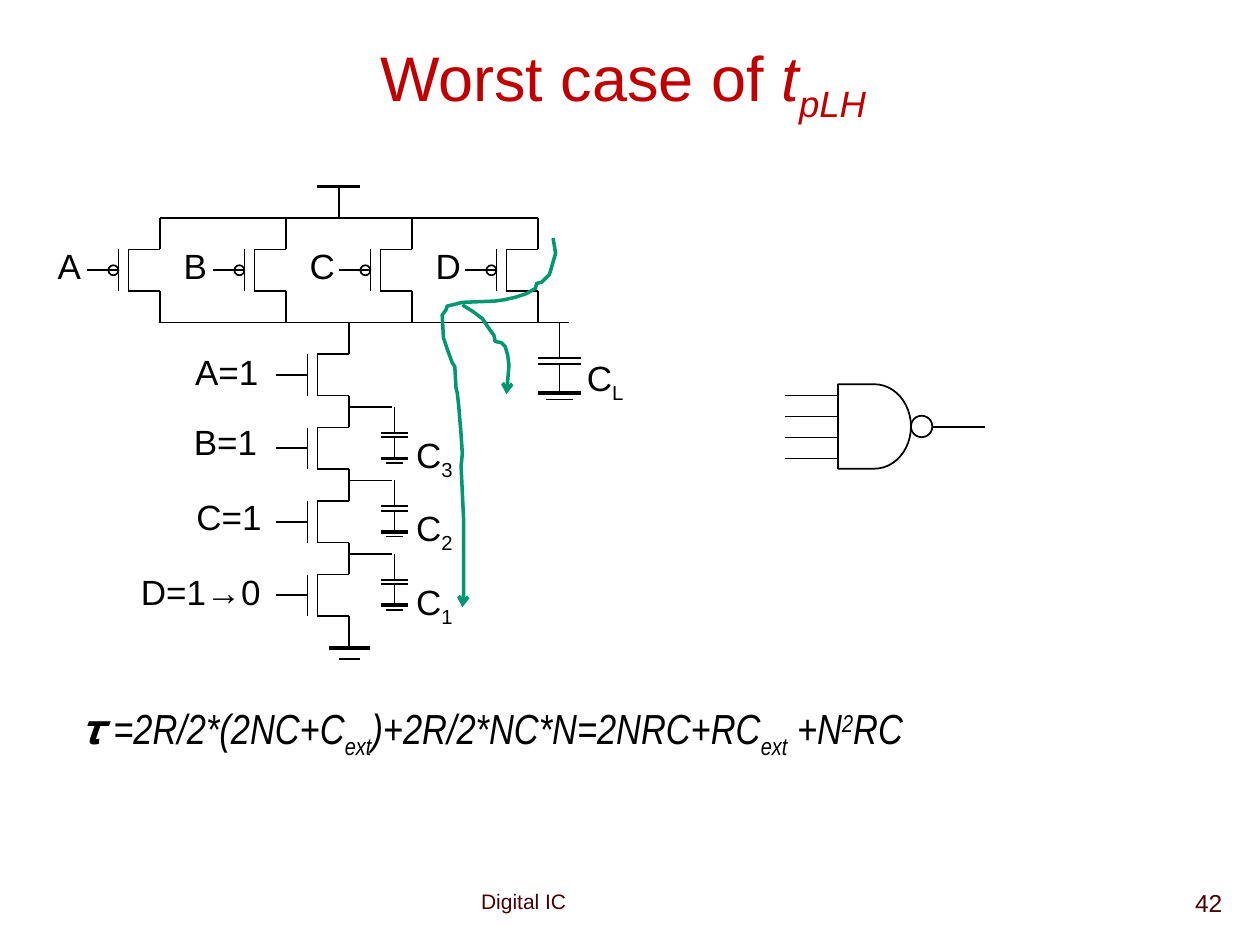
"""Build the slide on the worst case rise delay of a four-input NAND gate."""
from dataclasses import dataclass

from lxml import etree
from pptx import Presentation
from pptx.dml.color import RGBColor
from pptx.enum.shapes import MSO_CONNECTOR, MSO_SHAPE
from pptx.enum.text import MSO_ANCHOR, PP_ALIGN
from pptx.oxml.ns import qn
from pptx.util import Cm, Pt

STRAIGHT = MSO_CONNECTOR.STRAIGHT
ELLIPSE, DELAY = MSO_SHAPE.OVAL, MSO_SHAPE.FLOWCHART_DELAY
TOP, MIDDLE = MSO_ANCHOR.TOP, MSO_ANCHOR.MIDDLE
LEFT, CENTER, RIGHT = PP_ALIGN.LEFT, PP_ALIGN.CENTER, PP_ALIGN.RIGHT

COLORS = {"ink": "000000", "title": "C00000", "footer": "480000", "path": "009771"}
CHANNEL = 0.33
LEAD = 0.25
STAGE_PITCH = 1.75 / 3
SUPPLY_Y, OUTPUT_Y, STACK_X = 1.73, 2.56, 2.77


@dataclass
class Run:
    """A piece of text with its own slant and baseline."""
    text: str
    italic: bool = False
    baseline: int = 0


@dataclass
class Label:
    """A text box with one paragraph; positions are in inches."""
    left: float
    top: float
    width: float
    height: float
    runs: list[Run]
    size: float = 20
    color: str = "ink"
    font: str = "Arial"
    align: PP_ALIGN = LEFT
    anchor: MSO_ANCHOR = TOP


@dataclass
class Capacitor:
    """A grounded capacitor hanging from the point x, y."""
    x: float
    y: float
    subscript: str
    scale_x: float = 0.62
    scale_y: float = 0.73


LABELS = [
    Label(3.72, 7, 2.42, 0.3, [Run("Digital IC")], 12, "footer"),
    Label(7.72, 7, 2.08, 0.5, [Run("42")], 14, "footer", align=RIGHT),
    Label(0.4, 0.27, 9.09, 0.75,
          [Run("Worst case of "), Run("t", True), Run("pLH", True, -25)],
          36, "title", align=CENTER, anchor=MIDDLE),
    Label(1.45, 2.73, 0.73, 0.44, [Run("A=1")]),
    Label(1.44, 3.29, 0.73, 0.44, [Run("B=1")]),
    Label(1.46, 3.88, 0.73, 0.44, [Run("C=1")]),
    Label(1.02, 4.48, 1.16, 0.44, [Run("D=1→0")]),
    Label(0.54, 5.53, 6.87, 0.5,
          [Run("𝛕 =2R/2*(2NC+C", True), Run("ext", True, -25),
           Run(")+2R/2*NC*N=2NRC+RC", True), Run("ext", True, -25),
           Run(" +N", True), Run("2", True, 30), Run("RC", True)],
          24, font="Arial Narrow"),
]

LONG_PATH = [
    (4.39, 1.89), (4.41, 2.01), (4.37, 2.15), (4.36, 2.18), (4.3, 2.24), (4.26, 2.25),
    (4.25, 2.29), (4.18, 2.33), (4.09, 2.36), (4, 2.38), (3.93, 2.39), (3.67, 2.4),
    (3.59, 2.42), (3.55, 2.43), (3.54, 2.46), (3.51, 2.5), (3.52, 2.68), (3.55, 2.77),
    (3.59, 2.88), (3.61, 2.91), (3.62, 3.08), (3.63, 3.12), (3.64, 3.21), (3.66, 3.45),
    (3.67, 3.6), (3.66, 3.7), (3.68, 4.12), (3.68, 4.72), (3.67, 4.79), (3.67, 4.82),
]
SHORT_PATH = [
    (3.67, 2.42), (3.75, 2.47), (3.83, 2.53), (3.89, 2.62), (3.92, 2.66), (3.93, 2.71),
    (3.98, 2.72), (4.01, 2.75), (4.03, 2.82), (4.04, 2.9), (4.02, 3.13),
]


def length(inches: float) -> Cm:
    """Turn inches into a slide length."""
    return Cm(inches * 2.54)


def paint(line, width: float, color: str = "ink") -> None:
    """Set the width and colour of a line."""
    line.width = Pt(width)
    line.color.rgb = RGBColor.from_string(COLORS[color])


def draw_line(slide, x1: float, y1: float, x2: float, y2: float, width: float = 1) -> None:
    """Draw a straight wire."""
    wire = slide.shapes.add_connector(STRAIGHT, *map(length, (x1, y1, x2, y2)))
    paint(wire.line, width)
    etree.SubElement(wire._element.spPr, qn("a:effectLst"))


def draw_outline(slide, kind, left: float, top: float, width: float, height: float) -> None:
    """Draw an unfilled preset shape."""
    shape = slide.shapes.add_shape(kind, *map(length, (left, top, width, height)))
    shape.shadow.inherit = False
    shape.fill.background()
    paint(shape.line, 1)


def draw_label(slide, label: Label) -> None:
    """Write a label run by run."""
    box = slide.shapes.add_textbox(
        *map(length, (label.left, label.top, label.width, label.height)))
    box.text_frame.word_wrap = label.align != LEFT
    box.text_frame.vertical_anchor = label.anchor
    paragraph = box.text_frame.paragraphs[0]
    paragraph.alignment = label.align
    for part in label.runs:
        run = paragraph.add_run()
        run.text = part.text
        run.font.size = Pt(label.size)
        run.font.name = label.font
        run.font.italic = part.italic
        run.font.color.rgb = RGBColor.from_string(COLORS[label.color])
        if part.baseline:
            run._r.get_or_add_rPr().set("baseline", str(part.baseline * 1000))


def draw_transistor(slide, x: float, y: float) -> None:
    """Draw a transistor whose upper channel end is at x, y."""
    channel, gate, bottom = x - LEAD, x - 0.33, y + CHANNEL
    middle = y + CHANNEL / 2
    draw_line(slide, channel, y, x, y)
    draw_line(slide, channel, y, channel, bottom)
    draw_line(slide, channel, bottom, x, bottom)
    draw_line(slide, gate, y, gate, bottom)
    draw_line(slide, x, bottom, x, bottom + LEAD)
    draw_line(slide, gate - LEAD, middle, gate, middle)


def draw_pull_up(slide, x: float, name: str) -> None:
    """Draw a PMOS transistor between the supply and the output."""
    y = SUPPLY_Y + LEAD
    draw_transistor(slide, x, y)
    draw_line(slide, x, SUPPLY_Y, x, y)
    draw_outline(slide, ELLIPSE, x - 0.41, y + 0.125, 0.08, 0.08)
    draw_label(slide, Label(x - 0.91, 1.89, 0.4, 0.43, [Run(name)]))


def draw_capacitor(slide, capacitor: Capacitor) -> None:
    """Draw a capacitor with its ground and its name."""
    x, y = capacitor.x, capacitor.y
    upper, lower, ground, foot = (y + step * capacitor.scale_y
                                  for step in (0.28, 0.33, 0.56, 0.61))
    plate, short = 0.17 * capacitor.scale_x, 0.11 * capacitor.scale_x
    for level, half, width in ((upper, plate, 1), (lower, plate, 1),
                               (ground, plate, 2.25), (foot, short, 1)):
        draw_line(slide, x - half, level, x + half, level, width)
    draw_line(slide, x, y, x, upper)
    draw_line(slide, x, lower, x, ground)
    draw_label(slide, Label(x + 0.12 * capacitor.scale_x, y + 0.22 * capacitor.scale_y,
                            0.5, 0.43, [Run("C"), Run(capacitor.subscript, baseline=-25)]))


def draw_path(slide, points: list[tuple[float, float]]) -> None:
    """Draw a current path that ends in an arrowhead."""
    start, *rest = [(length(x), length(y)) for x, y in points]
    builder = slide.shapes.build_freeform(*start)
    builder.add_line_segments(rest, close=False)
    shape = builder.convert_to_shape()
    shape.shadow.inherit = False
    shape.fill.background()
    paint(shape.line, 2, "path")
    etree.SubElement(shape.line._get_or_add_ln(), qn("a:tailEnd"), type="arrow")


def draw_nand_symbol(slide) -> None:
    """Draw the four-input NAND gate symbol."""
    draw_outline(slide, DELAY, 6.65, 3.05, 0.58, 0.67)
    draw_outline(slide, ELLIPSE, 7.23, 3.3, 0.17, 0.17)
    for index in range(4):
        y = 3.14 + index / 6
        draw_line(slide, 6.23, y, 6.65, y)
    draw_line(slide, 7.4, 3.39, 7.82, 3.39)


def main() -> None:
    """Build and save the slide."""
    presentation = Presentation()
    presentation.slide_width, presentation.slide_height = length(10), length(7.5)
    slide = presentation.slides.add_slide(presentation.slide_layouts[6])
    for label in LABELS:
        draw_label(slide, label)
    for index, name in enumerate("ABCD"):
        draw_pull_up(slide, 1.27 + index, name)
        draw_transistor(slide, STACK_X, 2.81 + index * STAGE_PITCH)
    for wire in ((1.27, SUPPLY_Y, 4.27, SUPPLY_Y), (1.27, OUTPUT_Y, 4.52, OUTPUT_Y),
                 (STACK_X, OUTPUT_Y, STACK_X, 2.81), (2.69, 1.48, 2.69, SUPPLY_Y),
                 (2.52, 1.48, 2.86, 1.48, 2.25), (2.61, 5.14, 2.94, 5.14, 2.25),
                 (2.69, 5.23, 2.86, 5.23)):
        draw_line(slide, *wire)
    draw_capacitor(slide, Capacitor(4.44, OUTPUT_Y, "L", 1, 1))
    for index, subscript in enumerate("321"):
        y = 3.23 + index * STAGE_PITCH
        draw_line(slide, STACK_X, y, 3.11, y)
        draw_capacitor(slide, Capacitor(3.13, y, subscript))
    draw_nand_symbol(slide)
    for points in (LONG_PATH, SHORT_PATH):
        draw_path(slide, points)
    presentation.save("out.pptx")


if __name__ == "__main__":
    main()
